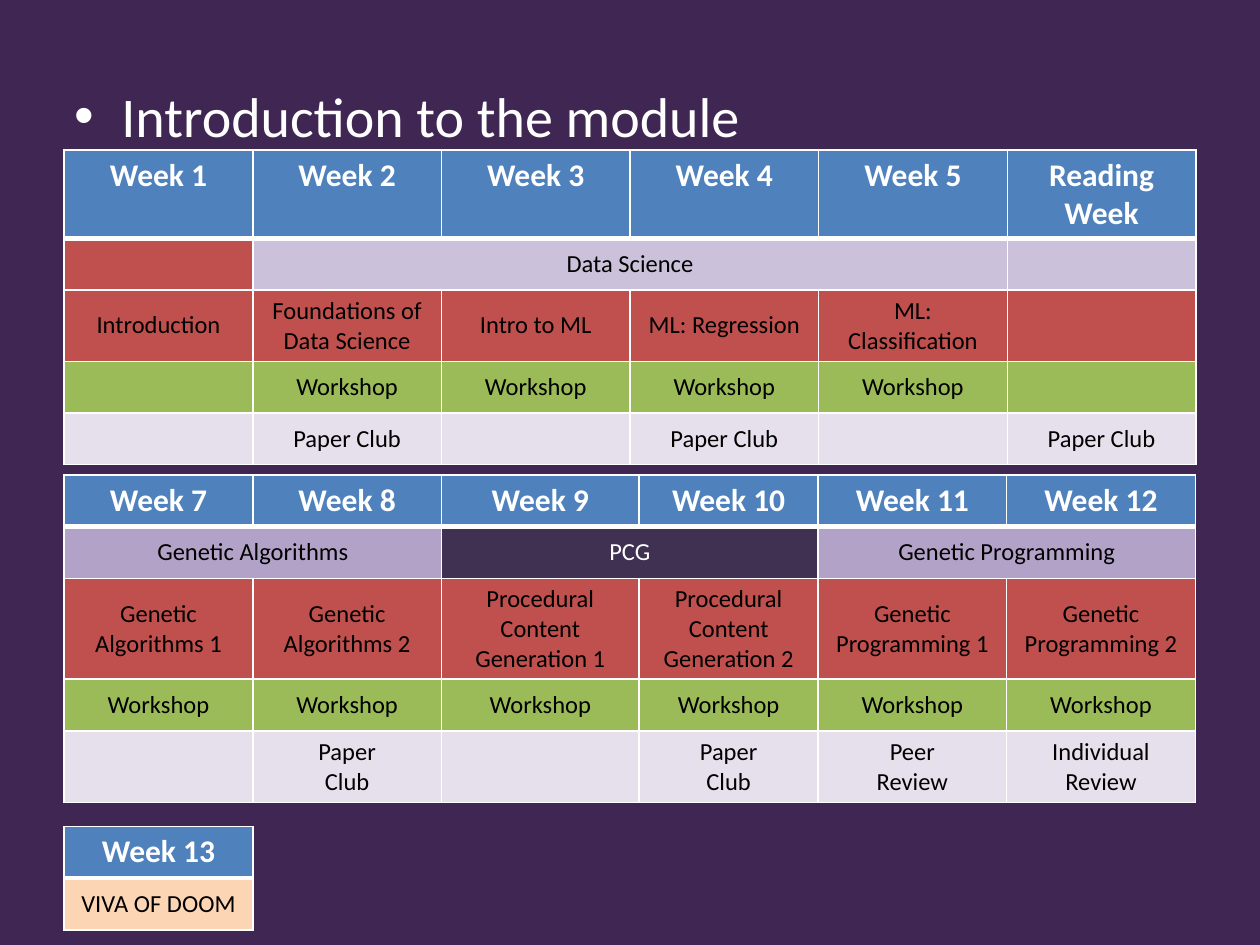
from lxml import etree
from pptx import Presentation
from pptx.dml.color import RGBColor
from pptx.enum.text import MSO_ANCHOR as Anchor, PP_ALIGN as Align
from pptx.oxml.ns import qn
from pptx.util import Inches, Pt

FONT = "Calibri"
WHITE, BLACK, PURPLE = "FFFFFF", "000000", "402652"
HEADER, LECTURE, WORKSHOP, PAPERS = "4F81BD", "C0504D", "9BBB59", "E6E0EC"
DATA, GENETIC, PCG, VIVA = "CCC1DA", "B3A2C7", "403152", "FCD5B5"
LEFT, ROW_HEIGHT, WEEK_WIDTH = 0.51, 0.41, 1.497

TITLE = "Introduction to the module"
# Each row holds its fill and its cells; None continues the cell to its left.
SCHEDULES = [
    {"top": 1.19, "widths": [WEEK_WIDTH] * 6, "rows": [
        (HEADER, ["Week 1", "Week 2", "Week 3", "Week 4", "Week 5", "Reading Week"]),
        (DATA, ["", "Data Science", None, None, None, ""]),
        (LECTURE, ["Introduction", "Foundations of Data Science", "Intro to ML",
                   "ML: Regression", "ML: Classification", ""]),
        (WORKSHOP, [""] + ["Workshop"] * 4 + [""]),
        (PAPERS, ["", "Paper Club"] * 3)],
     "special": {(1, 0): LECTURE}},
    {"top": 3.77, "widths": [WEEK_WIDTH] * 2 + [1.57, 1.42] + [WEEK_WIDTH] * 2, "rows": [
        (HEADER, [f"Week {week}" for week in range(7, 13)]),
        (GENETIC, ["Genetic Algorithms", None, "PCG", None, "Genetic Programming", None]),
        (LECTURE, ["Genetic Algorithms 1", "Genetic Algorithms 2",
                   "Procedural Content Generation 1", "Procedural Content Generation 2",
                   "Genetic Programming 1", "Genetic Programming 2"]),
        (WORKSHOP, ["Workshop"] * 6),
        (PAPERS, ["", "Paper\nClub", "", "Paper\nClub", "Peer\nReview", "Individual Review"])],
     "special": {(1, 2): PCG, (1, 3): PCG}},
    {"top": 6.56, "widths": [WEEK_WIDTH], "rows": [
        (HEADER, ["Week 13"]),
        (VIVA, ["VIVA OF DOOM"])],
     "special": {}},
]


def rgb(value):
    """Turn a hex string into a colour."""
    return RGBColor.from_string(value)


def write(frame, text, size, color=BLACK, bold=False, align=Align.CENTER, bullet=None):
    """Fill a text frame, one paragraph for each line of text."""
    for index, line in enumerate(text.split("\n")):
        paragraph = frame.paragraphs[0] if index == 0 else frame.add_paragraph()
        paragraph.alignment = align
        if bullet:
            properties = paragraph._p.get_or_add_pPr()
            properties.set("marL", str(Inches(0.375)))
            properties.set("indent", str(Inches(-0.375)))
            etree.SubElement(properties, qn("a:buFont"), typeface="Arial")
            etree.SubElement(properties, qn("a:buChar"), char=bullet)
        run = paragraph.add_run()
        run.text = line
        run.font.name, run.font.size, run.font.bold = FONT, Pt(size), bold
        run.font.color.rgb = rgb(color)


def add_borders(cell, bottom=1, top=1):
    """Draw white lines on the four sides of a cell."""
    properties = cell._tc.get_or_add_tcPr()
    sides = [("lnL", 1), ("lnR", 1), ("lnT", top), ("lnB", bottom)]
    for position, (side, width) in enumerate(sides):
        line = etree.Element(qn(f"a:{side}"), w=str(Pt(width)))
        fill = etree.SubElement(line, qn("a:solidFill"))
        etree.SubElement(fill, qn("a:srgbClr"), val=WHITE)
        properties.insert(position, line)


def add_schedule(slide, top, widths, rows, special):
    """Add one table of weeks."""
    table = slide.shapes.add_table(
        len(rows), len(widths), Inches(LEFT), Inches(top),
        Inches(sum(widths)), Inches(ROW_HEIGHT * len(rows))).table
    for column, width in zip(table.columns, widths):
        column.width = Inches(width)
    for r, (row_fill, texts) in enumerate(rows):
        table.rows[r].height = Inches(ROW_HEIGHT)
        is_header = r == 0
        for c, text in enumerate(texts):
            cell = table.cell(r, c)
            fill = special.get((r, c), row_fill)
            cell.fill.solid()
            cell.fill.fore_color.rgb = rgb(fill)
            add_borders(cell, bottom=3 if is_header else 1, top=3 if r == 1 else 1)
            cell.vertical_anchor = Anchor.TOP if is_header else Anchor.MIDDLE
            if text:
                write(cell.text_frame, text, size=18 if is_header else 14, bold=is_header,
                      color=WHITE if fill in (HEADER, PCG) else BLACK)
                end = c + 1
                while end < len(texts) and texts[end] is None:
                    end += 1
                if end > c + 1:
                    cell.merge(table.cell(r, end - 1))


def main():
    """Build the slide and save it."""
    deck = Presentation()
    deck.slide_width, deck.slide_height = Inches(10), Inches(7.5)
    slide = deck.slides.add_slide(deck.slide_layouts[6])
    slide.background.fill.solid()
    slide.background.fill.fore_color.rgb = rgb(PURPLE)
    title = slide.shapes.add_textbox(Inches(0.49), Inches(0.6), Inches(9), Inches(6.69))
    title.text_frame.word_wrap = True
    write(title.text_frame, TITLE, size=32, color=WHITE, align=Align.LEFT, bullet="•")
    for schedule in SCHEDULES:
        add_schedule(slide, **schedule)
    deck.save("out.pptx")


if __name__ == "__main__":
    main()
